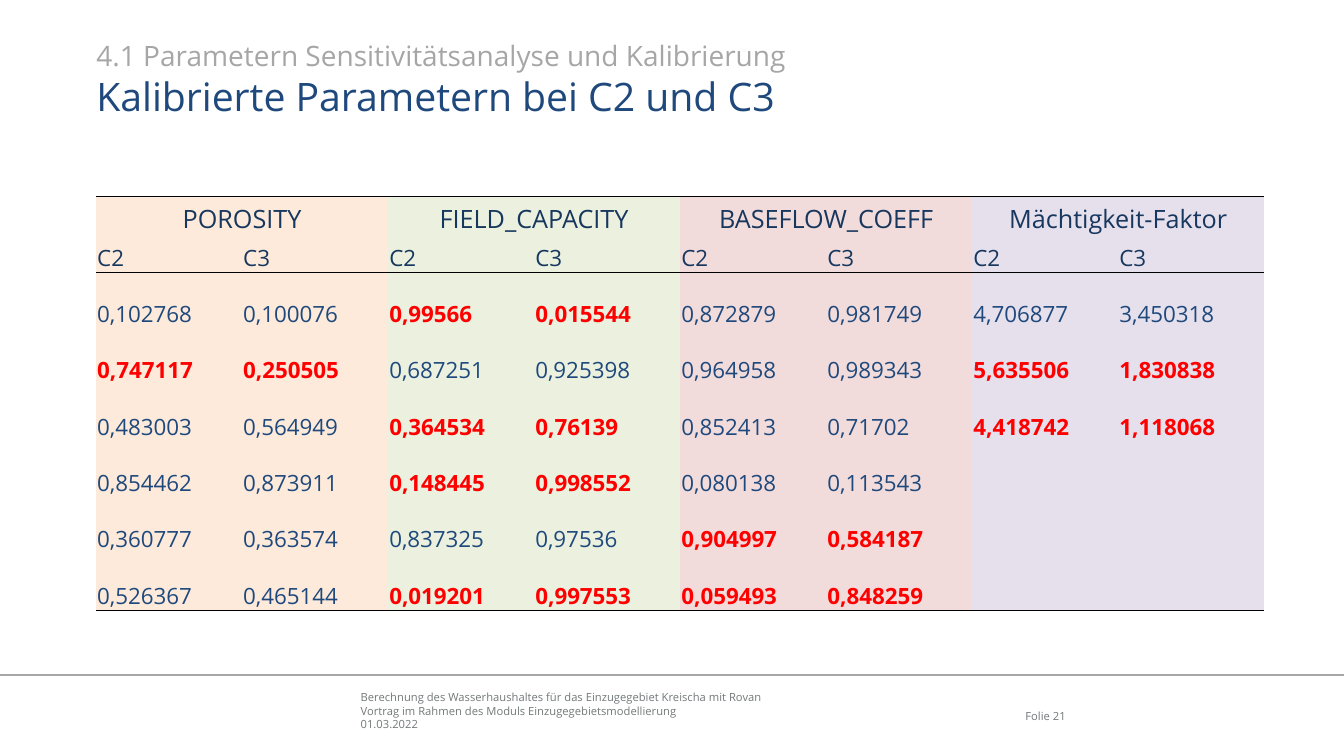
"""Builds the slide with the calibrated parameters of C2 and C3."""
from dataclasses import dataclass
from typing import Any, NamedTuple

from lxml.etree import SubElement
from pptx import Presentation
from pptx.dml.color import RGBColor as Rgb
from pptx.enum.shapes import MSO_CONNECTOR as Connector
from pptx.enum.text import MSO_ANCHOR as Anchor, PP_ALIGN as Align
from pptx.oxml import parse_xml
from pptx.oxml.ns import nsdecls, qn
from pptx.util import Cm, Pt


@dataclass(frozen=True)
class Theme:
    """Colours, font and type sizes of the slide."""
    font: str = "Open Sans"
    blue: str = "1F497D"
    navy: str = "17375E"
    red: str = "FF0000"
    grey: str = "A6A6A6"
    footer_grey: str = "727879"
    black: str = "000000"
    title_size: int = 28
    section_size: int = 20
    group_size: int = 18
    cell_size: int = 16
    footer_size: int = 8
    plain_table: str = "{2D5ABB26-0587-4C30-8999-92F81FD0307C}"


class Line(NamedTuple):
    """One line of text with its look."""
    text: str
    size: int
    colour: str
    bold: bool = False


class TextBox(NamedTuple):
    """A text box in centimetres."""
    left: float
    top: float
    width: float
    height: float
    lines: list[Line]
    anchor: Any = Anchor.TOP
    align: Any = Align.LEFT


class Pair(NamedTuple):
    """The values of C2 and C3 for one parameter."""
    c2: str
    c3: str
    marked: bool = False


class Group(NamedTuple):
    """A pair of table columns under one heading."""
    heading: str
    fill: str
    pairs: list[Pair]


THEME = Theme()
TABLE_LEFT, TABLE_TOP, COLUMN_WIDTH = 2.42, 4.96, 3.68
ROW_HEIGHTS = [1.12, 0.79] + [1.42] * 6
RULES = {0: "lnT", 1: "lnB", 7: "lnB"}
GROUPS = [
    Group("POROSITY", "FDEADA", [
        Pair("0,102768", "0,100076"), Pair("0,747117", "0,250505", True),
        Pair("0,483003", "0,564949"), Pair("0,854462", "0,873911"),
        Pair("0,360777", "0,363574"), Pair("0,526367", "0,465144")]),
    Group("FIELD_CAPACITY", "EBF1DE", [
        Pair("0,99566", "0,015544", True), Pair("0,687251", "0,925398"),
        Pair("0,364534", "0,76139", True), Pair("0,148445", "0,998552", True),
        Pair("0,837325", "0,97536"), Pair("0,019201", "0,997553", True)]),
    Group("BASEFLOW_COEFF", "F2DCDB", [
        Pair("0,872879", "0,981749"), Pair("0,964958", "0,989343"),
        Pair("0,852413", "0,71702"), Pair("0,080138", "0,113543"),
        Pair("0,904997", "0,584187", True), Pair("0,059493", "0,848259", True)]),
    Group("Mächtigkeit-Faktor", "E6E0EC", [
        Pair("4,706877", "3,450318"), Pair("5,635506", "1,830838", True),
        Pair("4,418742", "1,118068", True)]),
]
FOOTER = [
    "Berechnung des Wasserhaushaltes für das Einzugegebiet Kreischa mit Rovan",
    "Vortrag im Rahmen des Moduls Einzugegebietsmodellierung",
    "01.03.2022",
]
BOXES = [
    TextBox(2.43, 0.97, 29.4, 1.88, [
        Line("4.1 Parametern Sensitivitätsanalyse und Kalibrierung",
             THEME.section_size, THEME.grey),
        Line("Kalibrierte Parametern bei C2 und C3", THEME.title_size, THEME.blue)]),
    TextBox(9.09, 17.4, 14.4, 1.02,
            [Line(text, THEME.footer_size, THEME.footer_grey) for text in FOOTER],
            Anchor.BOTTOM),
    TextBox(24.9, 17.7, 1.96, 0.5,
            [Line("Folie 21", THEME.footer_size, THEME.footer_grey)],
            Anchor.BOTTOM, Align.RIGHT),
]


def apply_format(target: Any, values: dict[str, Any]) -> None:
    """Set each named attribute on the target."""
    for name, value in values.items():
        setattr(target, name, value)


def write_line(para: Any, line: Line) -> None:
    """Put one formatted line into a paragraph."""
    span = para.add_run()
    span.text = line.text
    apply_format(span.font, {"name": THEME.font, "size": Pt(line.size), "bold": line.bold})
    span.font.color.rgb = Rgb.from_string(line.colour)


def draw_box(page: Any, item: TextBox) -> None:
    """Draw a text box without margins."""
    box = page.shapes.add_textbox(Cm(item.left), Cm(item.top), Cm(item.width), Cm(item.height))
    frame = box.text_frame
    apply_format(frame, {"word_wrap": True, "vertical_anchor": item.anchor,
                         "margin_left": 0, "margin_right": 0,
                         "margin_top": 0, "margin_bottom": 0})
    for index, line in enumerate(item.lines):
        para = frame.add_paragraph() if index else frame.paragraphs[0]
        para.alignment = item.align
        write_line(para, line)


def draw_footer_rule(page: Any, width: int) -> None:
    """Draw the line above the footer."""
    rule = page.shapes.add_connector(Connector.STRAIGHT, 0, Cm(17.01), width, Cm(17.01))
    rule.line.color.rgb = Rgb.from_string(THEME.grey)
    rule.line.width = Pt(1)
    SubElement(rule.element.spPr, qn("a:effectLst"))


def add_rule(cell: Any, side: str) -> None:
    """Give one side of a cell a black border."""
    cell._tc.get_or_add_tcPr().insert(0, parse_xml(
        f'<a:{side} {nsdecls("a")} w="12700"><a:solidFill>'
        f'<a:srgbClr val="{THEME.black}"/></a:solidFill></a:{side}>'))


def write_value(cell: Any, line: Line) -> None:
    """Write a bottom-aligned cell with narrow margins."""
    apply_format(cell, {"vertical_anchor": Anchor.BOTTOM, "margin_left": Cm(0.03),
                        "margin_right": Cm(0.03), "margin_top": Cm(0.03), "margin_bottom": 0})
    write_line(cell.text_frame.paragraphs[0], line)


def fill_group(table: Any, first: int, group: Group) -> None:
    """Fill the two columns of a parameter group."""
    for column in (first, first + 1):
        for row in range(len(ROW_HEIGHTS)):
            cell = table.cell(row, column)
            cell.fill.solid()
            cell.fill.fore_color.rgb = Rgb.from_string(group.fill)
            if row in RULES:
                add_rule(cell, RULES[row])
    heading = table.cell(0, first)
    heading.merge(table.cell(0, first + 1))
    para = heading.text_frame.paragraphs[0]
    para.alignment = Align.CENTER
    write_line(para, Line(group.heading, THEME.group_size, THEME.navy))
    for row, pair in enumerate([Pair("C2", "C3"), *group.pairs], start=1):
        colour = THEME.red if pair.marked else THEME.navy if row == 1 else THEME.blue
        for offset, text in enumerate((pair.c2, pair.c3)):
            write_value(table.cell(row, first + offset),
                        Line(text, THEME.cell_size, colour, pair.marked))


def draw_table(page: Any) -> None:
    """Draw the parameter table."""
    columns = 2 * len(GROUPS)
    holder = page.shapes.add_table(len(ROW_HEIGHTS), columns, Cm(TABLE_LEFT), Cm(TABLE_TOP),
                                   Cm(columns * COLUMN_WIDTH), Cm(sum(ROW_HEIGHTS)))
    table = holder.table
    apply_format(table, {"first_row": False, "horz_banding": False})
    table._tbl.tblPr.find(qn("a:tableStyleId")).text = THEME.plain_table
    for row, height in zip(table.rows, ROW_HEIGHTS):
        row.height = Cm(height)
    for index, group in enumerate(GROUPS):
        fill_group(table, 2 * index, group)


def main() -> None:
    """Build and save the deck."""
    deck = Presentation()
    apply_format(deck, {"slide_width": Cm(33.87), "slide_height": Cm(19.05)})
    page = deck.slides.add_slide(deck.slide_layouts[6])
    draw_footer_rule(page, deck.slide_width)
    for item in BOXES:
        draw_box(page, item)
    draw_table(page)
    deck.save("out.pptx")


if __name__ == "__main__":
    main()
